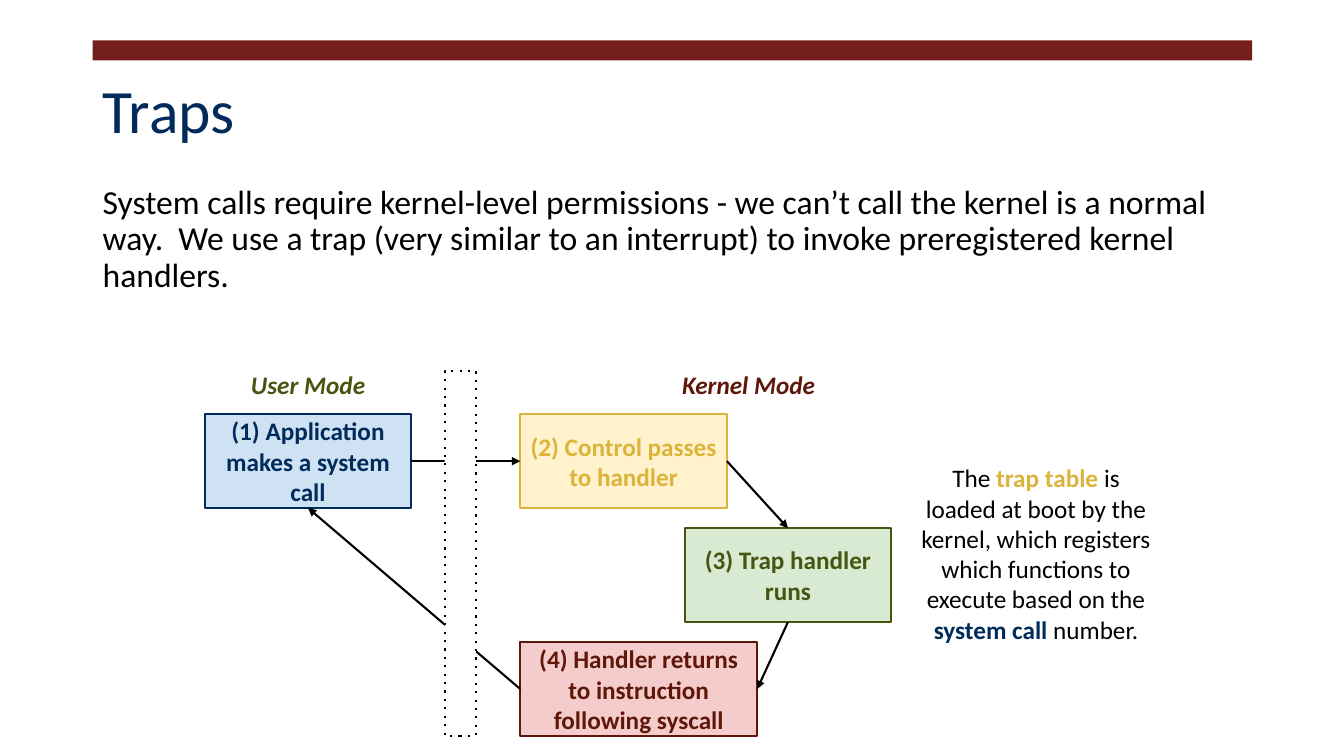
from lxml import etree
from pptx import Presentation
from pptx.dml.color import RGBColor
from pptx.enum.dml import MSO_LINE
from pptx.enum.shapes import MSO_CONNECTOR, MSO_SHAPE
from pptx.enum.text import MSO_ANCHOR, MSO_AUTO_SIZE, PP_ALIGN
from pptx.oxml.ns import qn
from pptx.util import Inches, Pt

RECT = MSO_SHAPE.RECTANGLE
STRAIGHT = MSO_CONNECTOR.STRAIGHT
DOT = MSO_LINE.ROUND_DOT
TOP, MIDDLE = MSO_ANCHOR.TOP, MSO_ANCHOR.MIDDLE
LEFT, CENTER = PP_ALIGN.LEFT, PP_ALIGN.CENTER
FIXED = MSO_AUTO_SIZE.NONE

WIDE, HIGH = Inches(13.33), Inches(7.5)
FONT = "Calibri"
EDGE, SPAN = 6.9, 86.27
ROW, STEP, DEEP = 54.8, 15.07, 12.4
USER, BOX = 15.23, 15.38
NORTH, WEST, SOUTH, EAST = range(4)

COLOR = {
    "bar": "751F1C", "navy": "002B5B", "gold": "DCB439",
    "green": "465510", "red": "5F1709", "black": "000000",
    "white": "FFFFFF", "sky": "CFE2F3", "cream": "FFF2CC",
    "mint": "D9EAD3", "rose": "F4CCCC",
}


def paint(name):
    return RGBColor.from_string(COLOR[name])


def place(x, y, w, h):
    return (round(WIDE * x / 100), round(HIGH * y / 100),
            round(WIDE * w / 100), round(HIGH * h / 100))


def write(shape, runs, size=18, align=CENTER, anchor=MIDDLE, pitch=1.0):
    frame = shape.text_frame
    frame.word_wrap = True
    frame.auto_size = FIXED
    frame.vertical_anchor = anchor
    frame.margin_left = frame.margin_right = Inches(0.1)
    frame.margin_top = frame.margin_bottom = Inches(0.1)
    para = frame.paragraphs[0]
    para.alignment = align
    para.line_spacing = pitch
    para.space_before = Pt(0)
    for text, color, bold, slant in runs:
        run = para.add_run()
        run.text = text
        run.font.name = FONT
        run.font.size = Pt(size)
        run.font.bold = bold
        run.font.italic = slant
        run.font.color.rgb = paint(color)


def label(slide, area, runs, **style):
    write(slide.shapes.add_textbox(*place(*area)), runs, **style)


def block(slide, area, fill, line=None):
    shape = slide.shapes.add_shape(RECT, *place(*area))
    shape.shadow.inherit = False
    shape.fill.solid()
    shape.fill.fore_color.rgb = paint(fill)
    if line:
        shape.line.color.rgb = paint(line)
        shape.line.width = Pt(1.5)
    else:
        shape.line.fill.background()
    return shape


def stage(slide, x, row, w, text, fill, ink):
    shape = block(slide, (x, ROW + row * STEP, w, DEEP), fill, ink)
    write(shape, [(text, ink, True, False)])
    return shape


def arrow(slide, start, out, end, into):
    link = slide.shapes.add_connector(STRAIGHT, 0, 0, 0, 0)
    link.begin_connect(start, out)
    link.end_connect(end, into)
    link.line.color.rgb = paint("black")
    link.line.width = Pt(1.5)
    tip = etree.SubElement(link.line._get_or_add_ln(), qn("a:tailEnd"))
    tip.set("type", "triangle")
    etree.SubElement(link._element.spPr, qn("a:effectLst"))


def gate(slide):
    shape = block(slide, (33.08, 49.07, 2.33, 48.27), "white", "black")
    shape.line.dash_style = DOT
    shape._element.spPr.find(".//" + qn("a:prstDash")).set("val", "dot")


def main():
    deck = Presentation()
    deck.slide_width, deck.slide_height = WIDE, HIGH
    slide = deck.slides.add_slide(deck.slide_layouts[5])

    block(slide, (EDGE, 5.33, SPAN, 2.67), "bar")
    title = slide.shapes.title
    title.left, title.top, title.width, title.height = place(
        EDGE, 5.33, SPAN, 19.33)
    write(title, [("Traps", "navy", False, False)],
          size=44, align=LEFT, pitch=0.9)
    label(slide, (EDGE, 23.2, SPAN, 71.33), [(
        "System calls require kernel-level permissions - we can’t call the "
        "kernel is a normal way.  We use a trap (very similar to an "
        "interrupt) to invoke preregistered kernel handlers.",
        "black", False, False)],
        size=24, align=LEFT, anchor=TOP, pitch=0.9)

    steps = [stage(slide, *step) for step in (
        (USER, 0, BOX, "(1) Application makes a system call", "sky", "navy"),
        (38.71, 0, BOX, "(2) Control passes to handler", "cream", "gold"),
        (50.94, 1, BOX, "(3) Trap handler runs", "mint", "green"),
        (38.71, 2, 17.63,
         "(4) Handler returns to instruction following syscall",
         "rose", "red"),
    )]
    sides = ((EAST, WEST), (EAST, NORTH), (SOUTH, EAST), (WEST, SOUTH))
    for start, end, (out, into) in zip(steps, steps[1:] + steps[:1], sides):
        arrow(slide, start, out, end, into)
    gate(slide)

    for x, text, ink in ((USER, "User Mode", "green"),
                         (48.01, "Kernel Mode", "red")):
        label(slide, (x, 48.27, BOX, 5.2), [(text, ink, True, True)])
    label(slide, (67.74, 55.33, 18.68, 35.73), [
        ("The ", "black", False, False),
        ("trap table ", "gold", True, False),
        ("is loaded at boot by the kernel, which registers which functions "
         "to execute based on the ", "black", False, False),
        ("system call", "navy", True, False),
        (" number.", "black", False, False),
    ])
    deck.save("out.pptx")


if __name__ == "__main__":
    main()
